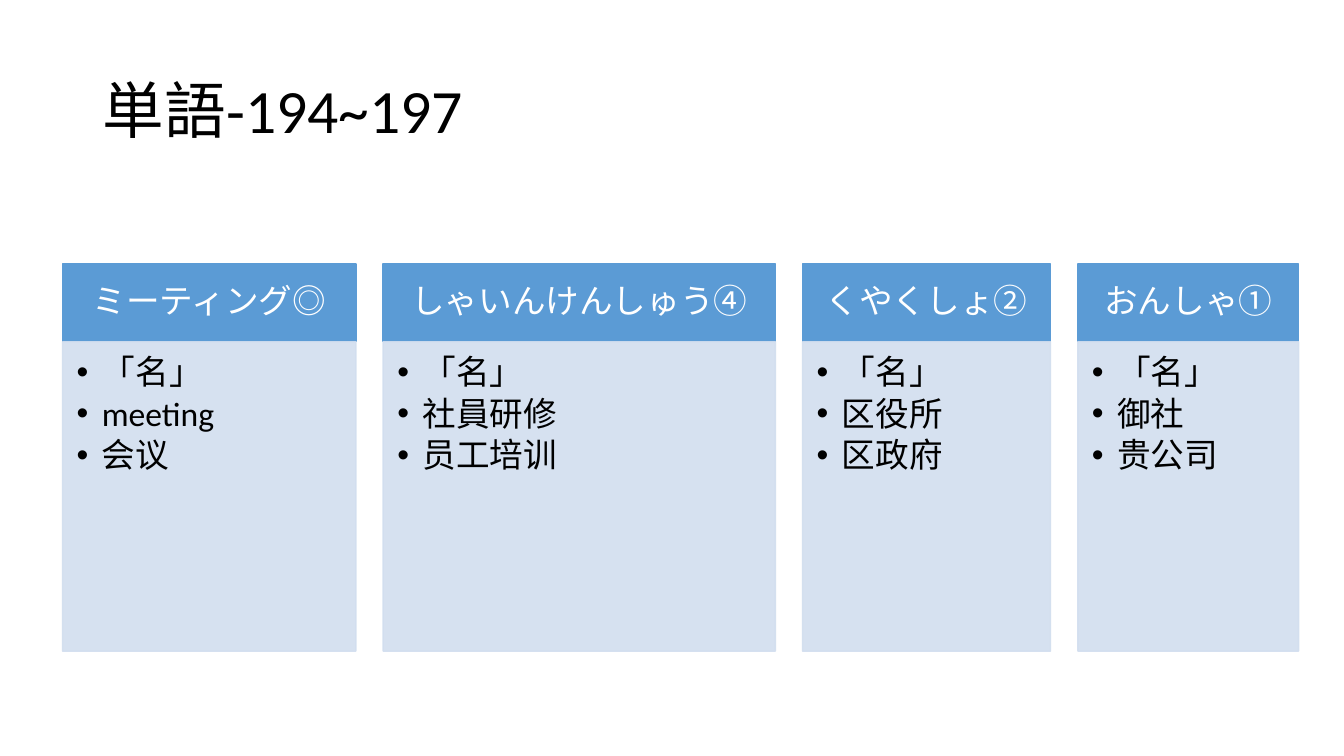
from lxml import etree
from pptx import Presentation
from pptx import util as u
from pptx.dml.color import RGBColor
from pptx.enum import shapes, text
from pptx.oxml.ns import qn

BLUE, PALE, WHITE, BLACK = "5B9BD5", "D2DEEF", "FFFFFF", "000000"
LEFT, GAP = 0.62, 0.27
HEAD_TOP, HEAD_H, BODY_H = 2.62, 0.77, 3.07
WORDS = [
    (2.91, "ミーティング◎", ["「名」", "meeting", "会议"]),
    (3.89, "しゃいんけんしゅう④", ["「名」", "社員研修", "员工培训"]),
    (2.46, "くやくしょ②", ["「名」", "区役所", "区政府"]),
    (2.19, "おんしゃ①", ["「名」", "御社", "贵公司"]),
]


def rgb(value):
    """Turn a hex string into a colour."""
    return RGBColor.from_string(value)


def apply(obj, values):
    """Set each attribute named in a dict."""
    for name, value in values.items():
        setattr(obj, name, value)


def set_frame(tf, anchor, margins):
    """Set wrapping, anchor and the left, top, right and bottom insets."""
    apply(tf, {"word_wrap": True, "auto_size": text.MSO_AUTO_SIZE.NONE,
               "vertical_anchor": anchor})
    sides = ("margin_left", "margin_top", "margin_right", "margin_bottom")
    apply(tf, {side: u.Inches(m) for side, m in zip(sides, margins)})


def write(p, words, size, color, align, after=0):
    """Write one run into a paragraph and format both."""
    apply(p, {"alignment": align, "line_spacing": 0.9,
              "space_before": u.Pt(0), "space_after": u.Pt(after)})
    r = p.add_run()
    r.text = words
    apply(r.font, {"name": "Calibri", "size": u.Pt(size)})
    r.font.color.rgb = rgb(color)


def add_bullet(p):
    """Give a paragraph a round bullet with a hanging indent."""
    pPr = p._p.get_or_add_pPr()
    pPr.set("marL", str(u.Inches(0.25)))
    pPr.set("indent", str(u.Inches(-0.25)))
    etree.SubElement(pPr, qn("a:buFont")).set("typeface", "Arial")
    etree.SubElement(pPr, qn("a:buChar")).set("char", "•")


def add_panel(s, left, top, width, height, color, opacity=100):
    """Add a rectangle whose fill and outline share a colour."""
    sp = s.shapes.add_shape(shapes.MSO_SHAPE.RECTANGLE,
                            *map(u.Inches, (left, top, width, height)))
    sp.shadow.inherit = False
    sp.fill.solid()
    sp.fill.fore_color.rgb = rgb(color)
    sp.line.color.rgb = rgb(color)
    sp.line.width = u.Pt(1)
    if opacity < 100:
        for clr in sp._element.spPr.iter(qn("a:srgbClr")):
            etree.SubElement(clr, qn("a:alpha")).set("val", str(opacity * 1000))
    return sp


def add_word(s, left, width, reading, meanings):
    """Add one word card: a heading above a bulleted panel."""
    tf = add_panel(s, left, HEAD_TOP, width, HEAD_H, BLUE).text_frame
    set_frame(tf, text.MSO_ANCHOR.MIDDLE, (0.19, 0.11, 0.19, 0.11))
    write(tf.paragraphs[0], reading, 24, WHITE, text.PP_ALIGN.CENTER)

    tf = add_panel(s, left, HEAD_TOP + HEAD_H, width, BODY_H, PALE, 90).text_frame
    set_frame(tf, text.MSO_ANCHOR.TOP, (0.14, 0.14, 0.19, 0.21))
    for i, meaning in enumerate(meanings):
        p = tf.add_paragraph() if i else tf.paragraphs[0]
        add_bullet(p)
        write(p, meaning, 24, BLACK, text.PP_ALIGN.LEFT, 3.6)


def add_title(s, words):
    """Place and fill the title placeholder."""
    sp = s.shapes.title
    apply(sp, {"left": u.Inches(0.92), "top": u.Inches(0.4),
               "width": u.Inches(11.5), "height": u.Inches(1.45)})
    set_frame(sp.text_frame, text.MSO_ANCHOR.MIDDLE, (0.1, 0.05, 0.1, 0.05))
    write(sp.text_frame.paragraphs[0], words, 44, BLACK, text.PP_ALIGN.LEFT)


def main():
    """Build the vocabulary slide."""
    prs = Presentation()
    apply(prs, {"slide_width": u.Inches(13.33), "slide_height": u.Inches(7.5)})
    s = prs.slides.add_slide(prs.slide_layouts[5])
    add_title(s, "単語-194~197")
    left = LEFT
    for width, reading, meanings in WORDS:
        add_word(s, left, width, reading, meanings)
        left += width + GAP
    prs.save("out.pptx")


if __name__ == "__main__":
    main()
